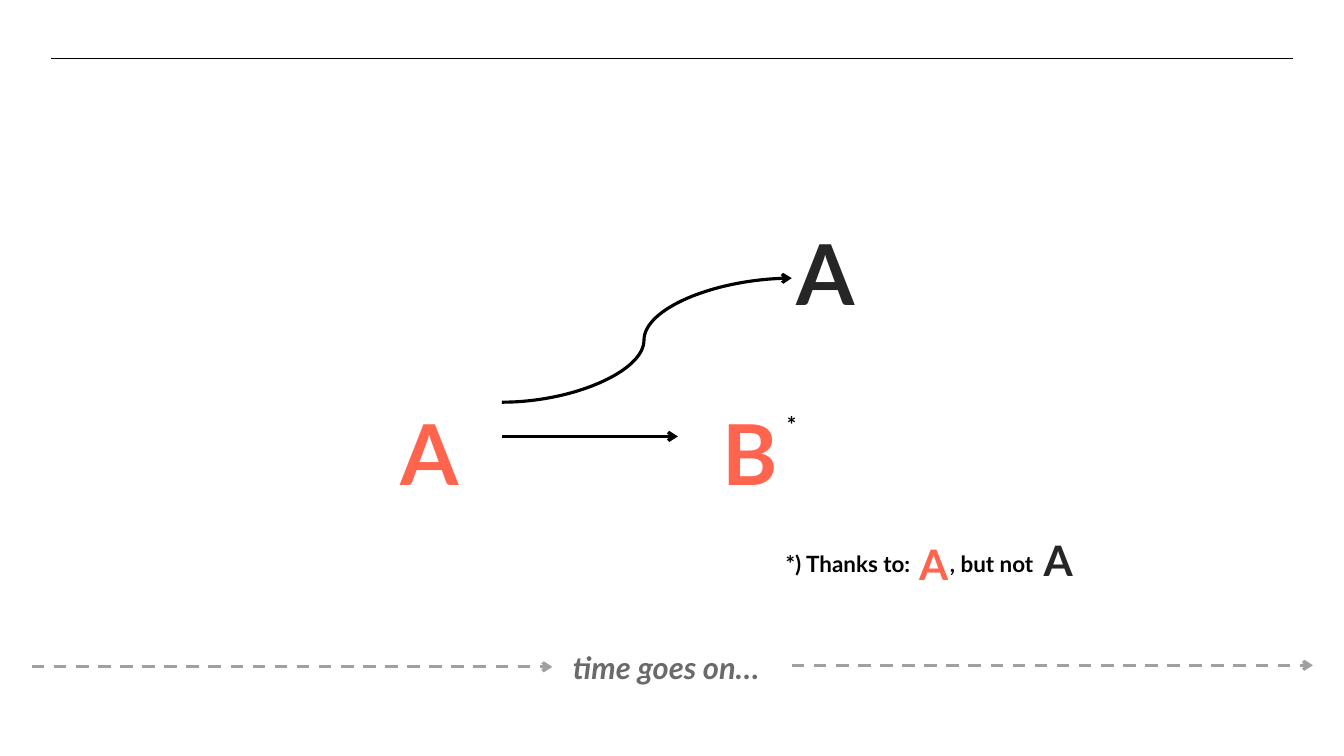
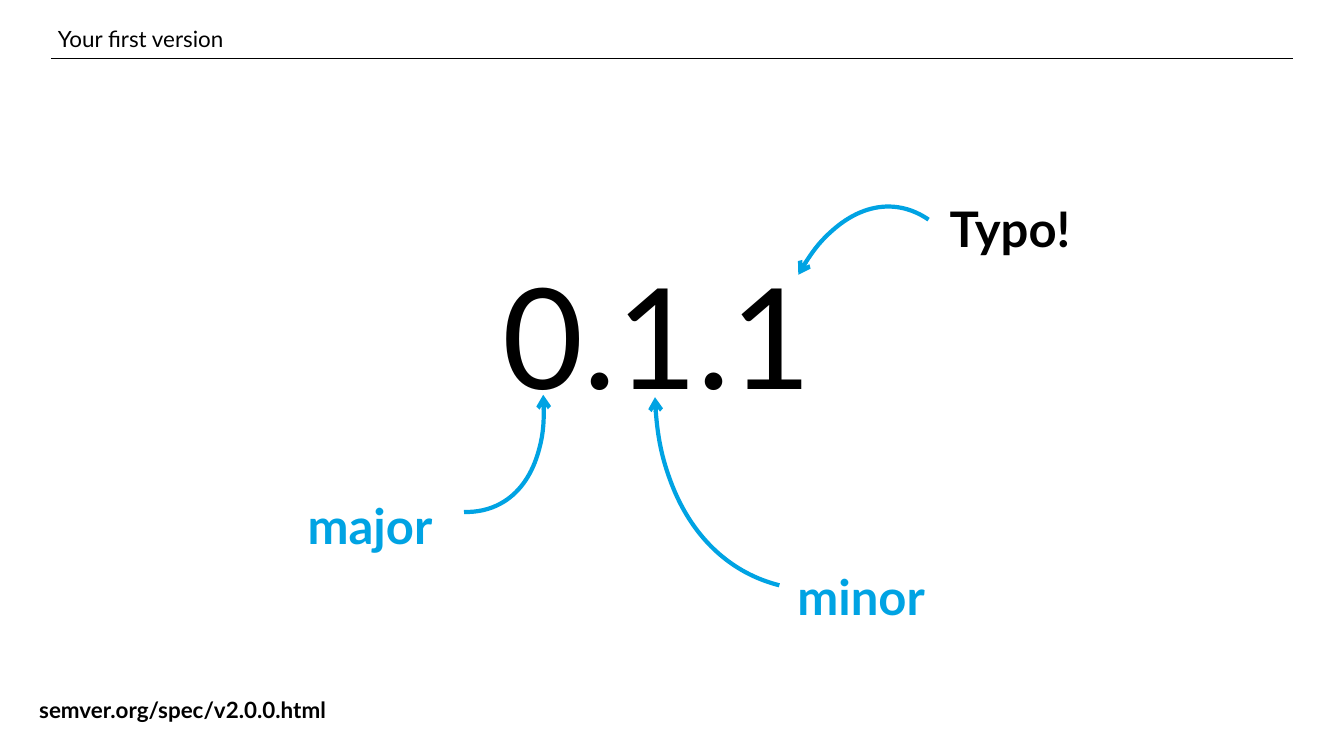
from dataclasses import dataclass

from lxml.etree import SubElement
from pptx import Presentation
from pptx.dml.color import RGBColor as Rgb
from pptx.enum.dml import MSO_LINE
from pptx.enum.shapes import MSO_CONNECTOR as Link, MSO_SHAPE as Shape
from pptx.enum.text import MSO_ANCHOR as Anchor, PP_ALIGN as Align
from pptx.oxml.ns import qn
from pptx.util import Pt


@dataclass(frozen=True)
class Theme:
    font: str = "Lato"
    black: str = "000000"
    dark: str = "262626"
    coral: str = "FF644E"
    blue: str = "00A3E3"
    dash: str = "A19F9F"
    gray: str = "6C6969"
    small: int = 32
    caption: int = 44
    medium: int = 60
    label: int = 70
    letter: int = 120
    version: int = 200
    rule: float = 1
    arrow: float = 4.5
    arc: float = 6


THEME = Theme()
LETTER_INSETS = (7.2, 3.6)
LABEL_INSETS = (5.76, 5.76)


def points(*values):
    return [Pt(value) for value in values]


def write(frame, text, *, size=THEME.small, color=THEME.black, bold=True, italic=False,
          align=Align.CENTER, anchor=Anchor.MIDDLE, insets=LABEL_INSETS, wrap=False, tab=None):
    """Fill a text frame with one paragraph; tab is an optional left tab stop."""
    side, edge = points(*insets)
    frame.margin_left = frame.margin_right = side
    frame.margin_top = frame.margin_bottom = edge
    frame.word_wrap = wrap
    frame.vertical_anchor = anchor
    para = frame.paragraphs[0]
    para.alignment = align
    if tab:
        stops = SubElement(para._p.get_or_add_pPr(), qn("a:tabLst"))
        SubElement(stops, qn("a:tab"), pos=str(Pt(tab)), algn="l")
    span = para.add_run()
    span.text = text
    font = span.font
    font.name, font.size, font.bold, font.italic = THEME.font, Pt(size), bold, italic
    font.color.rgb = Rgb.from_string(color)


def add_text(slide, place, text, **text_format):
    box = slide.shapes.add_textbox(*points(*place))
    write(box.text_frame, text, **text_format)


def add_letter(slide, place, letter, color=THEME.coral, size=THEME.letter):
    add_text(slide, place, letter, color=color, size=size,
             anchor=Anchor.TOP, insets=LETTER_INSETS)


def style_line(shape, color, width, dashed=False, arrow=True):
    shape.line.color.rgb = Rgb.from_string(color)
    shape.line.width = Pt(width)
    if dashed:
        shape.line.dash_style = MSO_LINE.DASH
    if arrow:
        SubElement(shape.element.spPr.find(qn("a:ln")), qn("a:tailEnd"), type="arrow")


def add_line(slide, start, end, kind=Link.STRAIGHT, color=THEME.black,
             width=THEME.arrow, **line_format):
    line = slide.shapes.add_connector(kind, *points(*start, *end))
    style_line(line, color, width, **line_format)
    SubElement(line.element.spPr, qn("a:effectLst"))
    return line


def add_curve(slide, start, end, bend):
    """Draw a curved arrow that turns at the given share of its width."""
    curve = add_line(slide, start, end, kind=Link.CURVE)
    guides = curve.element.spPr.find(qn("a:prstGeom")).find(qn("a:avLst"))
    SubElement(guides, qn("a:gd"), name="adj1", fmla=f"val {round(bend * 100000)}")


def add_arc_arrow(slide, place, rotation, angles, flipped=False):
    """Draw an arc arrow between two angles given in degrees."""
    arc = slide.shapes.add_shape(Shape.ARC, *points(*place))
    arc.shadow.inherit = False
    arc.fill.background()
    for index, angle in enumerate(angles):
        arc.adjustments[index] = angle * 60000 / 100000
    arc.rotation = rotation
    if flipped:
        arc.element.spPr.get_or_add_xfrm().set("flipV", "1")
    style_line(arc, THEME.blue, THEME.arc)


def add_page(deck, title=None):
    page = deck.slides.add_slide(deck.slide_layouts[5 if title else 6])
    add_line(page, (72.7, 82.8), (1847.5, 82.8), width=THEME.rule, arrow=False)
    if title:
        heading = page.shapes.title
        heading.left, heading.top, heading.width, heading.height = points(75.6, 27.4, 1771.9, 54.7)
        write(heading.text_frame, title, bold=False, align=Align.LEFT,
              insets=LETTER_INSETS, wrap=True)
    return page


def build_branching(deck):
    page = add_page(deck)
    add_letter(page, (510.5, 569.5, 206.6, 152.6), "A")
    add_line(page, (717.1, 623.5), (968.4, 623.5))
    add_letter(page, (968.4, 569.5, 206.6, 152.6), "B")
    add_letter(page, (1131.1, 313.2, 88.6, 152.6), "A", color=THEME.dark)
    add_curve(page, (717.1, 574.6), (1131.1, 397.4), bend=0.49)

    for left, right, level in ((1131.1, 1875.6, 950.4), (45.4, 789.1, 952.6)):
        add_line(page, (left, level), (right, level), color=THEME.dash, dashed=True)
    add_text(page, (799.2, 920.2, 305.3, 64.8), "time goes on…",
             size=THEME.caption, color=THEME.gray, italic=True)

    add_text(page, (1116.7, 581.8, 28.8, 50.4), "*")
    add_text(page, (1116.7, 780.5, 416.2, 50.4), "*) Thanks to:\t, but not",
             align=Align.LEFT, wrap=True, tab=234.5)
    add_letter(page, (1230.5, 765.4, 206.6, 79.9), "A", size=THEME.medium)
    add_letter(page, (1483.9, 760.3, 51.1, 79.9), "A", color=THEME.dark, size=THEME.medium)


def build_first_version(deck):
    page = add_page(deck, "Your first version")
    add_text(page, (42.5, 990.7, 437, 46.1), "semver.org/spec/v2.0.0.html",
             anchor=Anchor.TOP, insets=LETTER_INSETS)
    add_text(page, (706.3, 349.9, 465.1, 253.4), "0.1.1", size=THEME.version, bold=False)

    short_sweep = (258.91, 307.07)
    add_arc_arrow(page, (421.2, 199.4, 323.3, 553.7), 331.5, short_sweep, flipped=True)
    add_arc_arrow(page, (1093, 294.5, 323.3, 553.7), 184.5, short_sweep, flipped=True)
    add_arc_arrow(page, (977, -59, 619.2, 932.4), 208.4, (263.6, 307.07))

    for text, left, top, width, color in (
        ("major", 427, 701.3, 203, THEME.blue),
        ("minor", 1128.2, 803.5, 203.8, THEME.blue),
        ("Typo!", 1345.7, 277.2, 194.4, THEME.black),
    ):
        add_text(page, (left, top, width, 96.5), text, size=THEME.label, color=color)


def main():
    deck = Presentation()
    deck.slide_width, deck.slide_height = points(1920, 1080)
    build_branching(deck)
    build_first_version(deck)
    deck.save("out.pptx")


if __name__ == "__main__":
    main()
